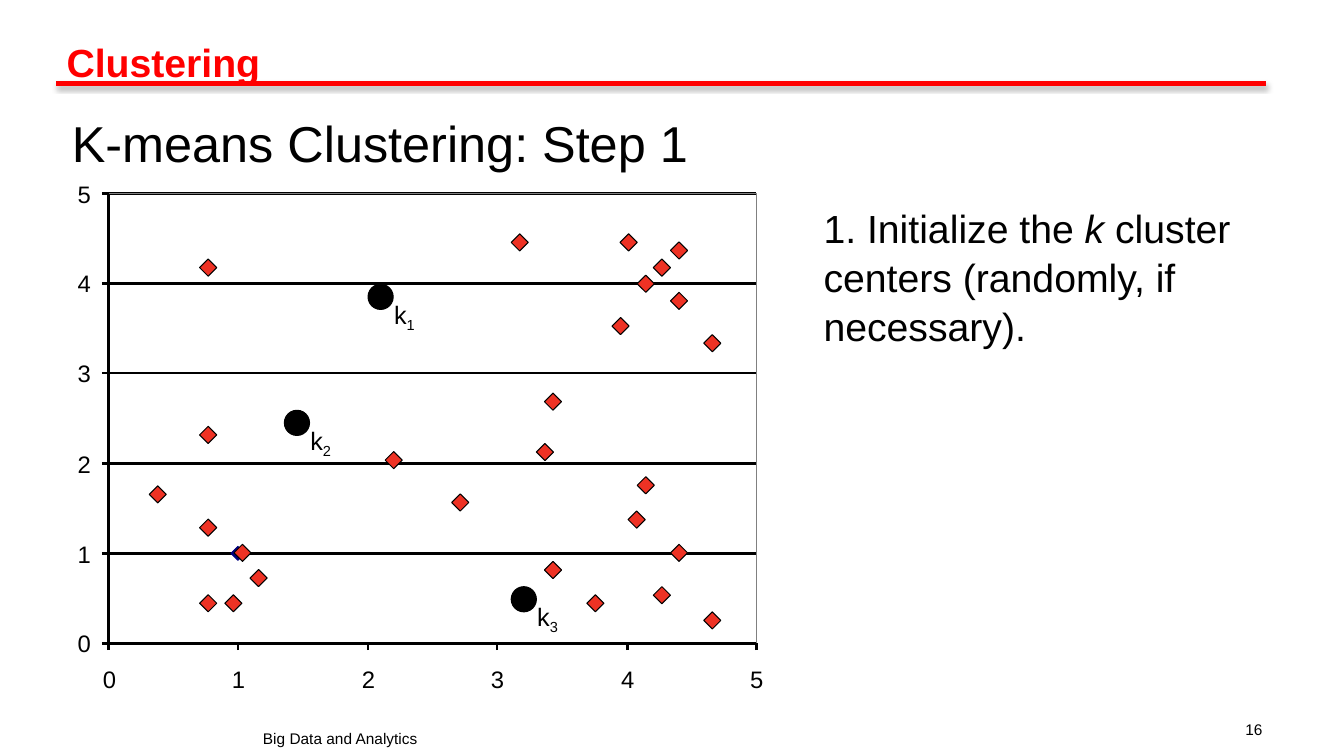
from dataclasses import dataclass
from typing import NamedTuple, Optional

from lxml.etree import SubElement
from pptx import Presentation
from pptx.dml.color import RGBColor
from pptx.enum.shapes import MSO_CONNECTOR, MSO_SHAPE
from pptx.enum.text import MSO_ANCHOR as Anchor, PP_ALIGN as Align
from pptx.oxml.ns import qn
from pptx.util import Pt

PX = 9144  # one px is a hundredth of an inch


@dataclass(frozen=True)
class Theme:
    font: str = "Arial"
    accent: str = "FF0000"
    ink: str = "000000"
    paper: str = "FFFFFF"
    frame: str = "808080"
    point: str = "EE3224"
    seed: str = "000080"
    title: int = 28
    heading: int = 36
    body: int = 28
    label: int = 18
    tick: int = 17
    footer: int = 11


class Box(NamedTuple):
    left: int
    top: int
    width: int
    height: int

    def emu(self) -> list[int]:
        return [side * PX for side in self]


class Span(NamedTuple):
    text: str
    italic: bool = False
    bold: bool = False
    subscript: bool = False


class Center(NamedTuple):
    number: str
    left: int
    top: int


@dataclass(frozen=True)
class TextBox:
    box: Box
    spans: list[Span]
    size: int
    align: Align = Align.LEFT
    anchor: Anchor = Anchor.TOP
    spacing: float = 1.0
    wrap: bool = True
    inset: bool = True


THEME = Theme()
PLOT = Box(108, 192, 642, 446)
AXIS_MAX = 5
TICK = 7
POINT_SIZE = 17
CENTER_SIZE = 25
SEED = Box(229, 542, 14, 14)

POINTS = [
    (232, 540), (248, 565), (223, 590), (198, 515), (198, 257), (198, 423),
    (198, 590), (148, 482), (382, 448), (615, 232), (665, 240), (648, 257),
    (632, 273), (665, 290), (698, 332), (507, 232), (540, 390), (540, 557),
    (582, 590), (623, 507), (532, 440), (448, 490), (665, 540), (648, 582),
    (632, 473), (698, 607), (607, 315),
]
CENTERS = [Center("1", 365, 282), Center("2", 282, 407), Center("3", 507, 582)]

TEXTS = [
    TextBox(Box(58, 718, 559, 24), [Span("Big Data and Analytics")],
            THEME.footer, Align.CENTER),
    TextBox(Box(951, 710, 311, 24), [Span("16")], THEME.footer, Align.RIGHT),
    TextBox(Box(-48, 112, 850, 58), [Span("K-means Clustering: Step 1")],
            THEME.heading, Align.CENTER, Anchor.MIDDLE),
    TextBox(Box(807, 195, 467, 199),
            [Span("1. Initialize the "), Span("k", italic=True),
             Span(" cluster centers (randomly, if necessary).")],
            THEME.body, spacing=1.05),
]


def rgb(color: str) -> RGBColor:
    return RGBColor.from_string(color)


def write(shape, text: TextBox, color: str = THEME.ink) -> None:
    """Place a text-bearing shape and fill its single paragraph."""
    shape.left, shape.top, shape.width, shape.height = text.box.emu()
    frame = shape.text_frame
    frame.word_wrap = text.wrap
    frame.vertical_anchor = text.anchor
    if not text.inset:
        frame.margin_left = frame.margin_right = 0
        frame.margin_top = frame.margin_bottom = 0
    para = frame.paragraphs[0]
    para.alignment = text.align
    para.line_spacing = text.spacing
    for span in text.spans:
        run = para.add_run()
        run.text = span.text
        font = run.font
        font.name, font.size = THEME.font, Pt(text.size)
        font.bold, font.italic = span.bold, span.italic
        font.color.rgb = rgb(color)
        if span.subscript:
            font._element.set("baseline", "-25000")


def add_text(shapes, text: TextBox) -> None:
    write(shapes.add_textbox(*text.box.emu()), text)


def add_mark(shapes, kind: MSO_SHAPE, box: Box, fill: Optional[str],
             line: Optional[str] = THEME.ink, width: float = 0.75) -> None:
    mark = shapes.add_shape(kind, *box.emu())
    mark.shadow.inherit = False
    for part, color in ((mark.fill, fill), (mark.line.fill, line)):
        if color:
            part.solid()
            part.fore_color.rgb = rgb(color)
        else:
            part.background()
    if line:
        mark.line.width = Pt(width)


def add_line(shapes, x1: int, y1: int, x2: int, y2: int,
             color: str = THEME.ink, width: float = 0):
    """Draw a straight line and return its empty effect list."""
    line = shapes.add_connector(MSO_CONNECTOR.STRAIGHT,
                                x1 * PX, y1 * PX, x2 * PX, y2 * PX)
    line.line.color.rgb = rgb(color)
    line.line.width = Pt(width)
    return SubElement(line._element.spPr, qn("a:effectLst"))


def add_title_rule(shapes) -> None:
    effects = add_line(shapes, 56, 83, 1256, 83, THEME.accent, 4)
    shadow = SubElement(effects, qn("a:outerShdw"), blurRad=str(Pt(3.1)),
                        dist=str(Pt(1.8)), dir="5400000", rotWithShape="0")
    color = SubElement(shadow, qn("a:srgbClr"), val=THEME.ink)
    SubElement(color, qn("a:alpha"), val="35000")


def add_axes(shapes) -> None:
    left, top, width, height = PLOT
    right, bottom = left + width, top + height
    xs = [left + round(width * step / AXIS_MAX) for step in range(AXIS_MAX + 1)]
    ys = [bottom - round(height * step / AXIS_MAX) for step in range(AXIS_MAX + 1)]

    add_mark(shapes, MSO_SHAPE.RECTANGLE, PLOT, THEME.paper, None)
    for y in ys[1:]:
        add_line(shapes, left, y, right, y)
    add_mark(shapes, MSO_SHAPE.RECTANGLE, PLOT, None, THEME.frame, 0.63)
    add_line(shapes, left, top, left, bottom)
    add_line(shapes, left, bottom, right, bottom)
    for value, (x, y) in enumerate(zip(xs, ys)):
        add_line(shapes, left - TICK, y, left, y)
        add_line(shapes, x, bottom + TICK, x, bottom)
        for label_left, label_top in ((77, y - 14), (x - 6, 659)):
            add_text(shapes, TextBox(Box(label_left, label_top, 23, 31),
                                     [Span(str(value))], THEME.tick,
                                     wrap=False, inset=False))


def add_center(shapes, center: Center) -> None:
    """Group a cluster centre with its subscripted label."""
    group = shapes.add_group_shape().shapes
    circle = Box(center.left, center.top, CENTER_SIZE, CENTER_SIZE)
    add_mark(group, MSO_SHAPE.OVAL, circle, THEME.ink)
    add_text(group, TextBox(Box(center.left + 16, center.top + 8, 58, 50),
                            [Span("k"), Span(center.number, subscript=True)],
                            THEME.label, spacing=1.05))


def main() -> None:
    deck = Presentation()
    deck.slide_width, deck.slide_height = 1333 * PX, 750 * PX
    page = deck.slides.add_slide(deck.slide_layouts[5])
    shapes = page.shapes

    add_title_rule(shapes)
    write(shapes.title,
          TextBox(Box(56, 30, 1200, 72), [Span("Clustering", bold=True)],
                  THEME.title, anchor=Anchor.MIDDLE, spacing=0.8),
          THEME.accent)
    add_axes(shapes)
    add_mark(shapes, MSO_SHAPE.DIAMOND, SEED, THEME.seed, THEME.seed, 0.63)
    for left, top in POINTS:
        add_mark(shapes, MSO_SHAPE.DIAMOND,
                 Box(left, top, POINT_SIZE, POINT_SIZE), THEME.point)
    for center in CENTERS:
        add_center(shapes, center)
    for text in TEXTS:
        add_text(shapes, text)
    deck.save("out.pptx")


if __name__ == "__main__":
    main()
